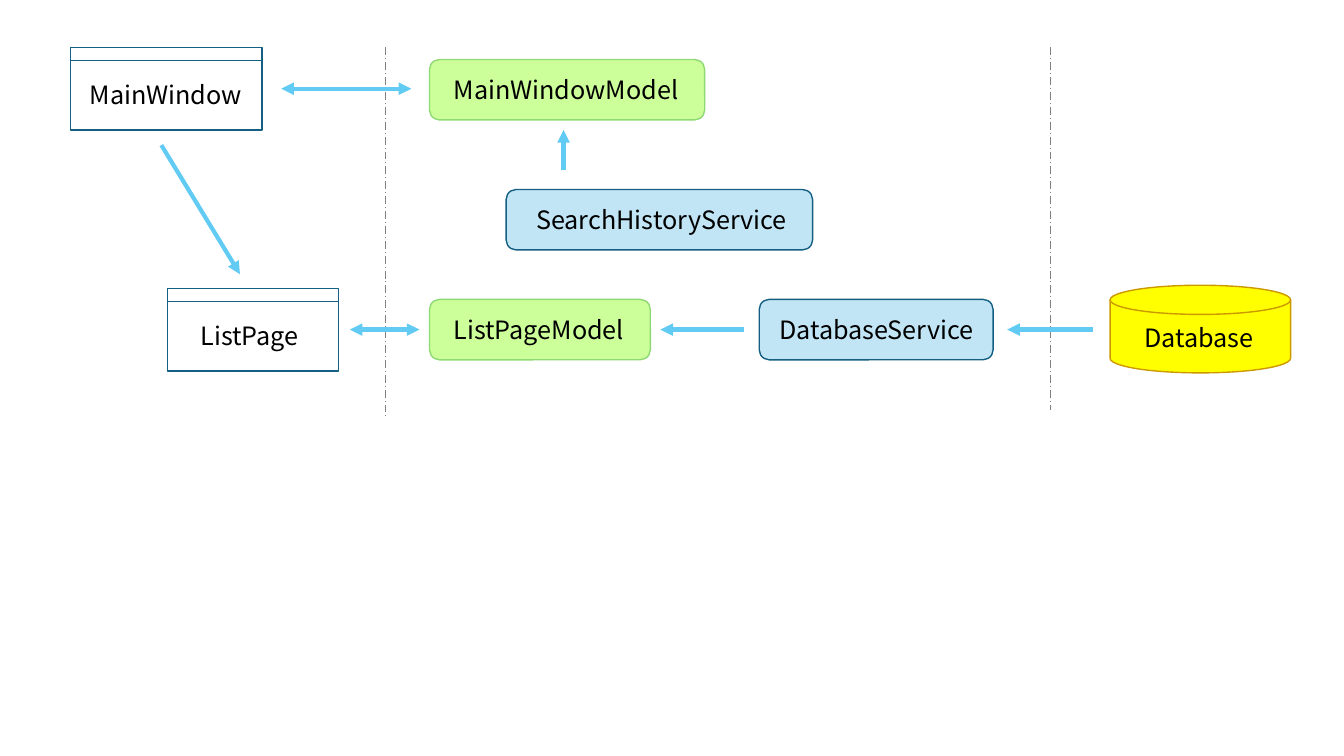
import pptx
import pptx.util
import pptx.dml.color
import pptx.enum.dml
import pptx.enum.shapes
import pptx.enum.text
import pptx.oxml
import pptx.oxml.ns

Inches = pptx.util.Inches
SHAPE = pptx.enum.shapes.MSO_SHAPE
FONT = "Noto Sans CJK JP"
COLORS = {
    "text": "000000", "window": "FFFFFF", "window_line": "156082",
    "model": "CCFF99", "model_line": "8ED973",
    "service": "C1E5F5", "service_line": "156082",
    "database": "FFFF00", "database_line": "CC9900",
    "arrow": "61CBF4", "divider": "808080",
}


def rgb(name):
    return pptx.dml.color.RGBColor.from_string(COLORS[name])


def add_block(shapes, kind, style, x, y, w, h):
    sp = shapes.add_shape(kind, Inches(x), Inches(y), Inches(w), Inches(h))
    sp.shadow.inherit = False
    sp.fill.solid()
    sp.fill.fore_color.rgb = rgb(style)
    sp.line.color.rgb = rgb(style + "_line")
    sp.line.width = pptx.util.Pt(1)
    return sp


def add_label(s, text, x, y, w):
    sp = s.shapes.add_textbox(Inches(x), Inches(y), Inches(w), Inches(0.4))
    tf = sp.text_frame
    frame = {"word_wrap": False,
             "auto_size": pptx.enum.text.MSO_AUTO_SIZE.SHAPE_TO_FIT_TEXT}
    for key, value in frame.items():
        setattr(tf, key, value)
    r = tf.paragraphs[0].add_run()
    r.text = text
    for key, value in {"name": FONT, "size": pptx.util.Pt(18)}.items():
        setattr(r.font, key, value)
    r.font.color.rgb = rgb("text")


def add_window(s, text, x, y, w, label_dx, label_w):
    group = s.shapes.add_group_shape()
    add_block(group.shapes, SHAPE.RECTANGLE, "window", x, y + 0.12, w, 0.7)
    add_block(group.shapes, SHAPE.RECTANGLE, "window", x, y, w, 0.13)
    add_label(s, text, x + label_dx, y + 0.27, label_w)


def add_component(s, text, style, x, y, w, label_dx, label_w):
    add_block(s.shapes, SHAPE.ROUNDED_RECTANGLE, style, x, y, w, 0.6)
    add_label(s, text, x + label_dx, y + 0.1, label_w)


def add_database(s, text, x, y, w, h):
    add_block(s.shapes, SHAPE.FLOWCHART_MAGNETIC_DISK, "database", x, y, w, h)
    add_label(s, text, x + 0.24, y + 0.32, 1.32)


def add_line(s, style, width, x1, y1, x2, y2):
    cx = s.shapes.add_connector(pptx.enum.shapes.MSO_CONNECTOR.STRAIGHT,
                                Inches(x1), Inches(y1), Inches(x2), Inches(y2))
    cx.line.color.rgb = rgb(style)
    cx.line.width = pptx.util.Pt(width)
    cx._element.spPr.append(pptx.oxml.parse_xml(
        "<a:effectLst %s/>" % pptx.oxml.ns.nsdecls("a")))
    return cx


def add_divider(s, x, top, bottom):
    cx = add_line(s, "divider", 0.7, x, top, x, bottom)
    cx.line.dash_style = pptx.enum.dml.MSO_LINE.LONG_DASH_DOT


def add_arrow(s, x1, y1, x2, y2, ends=("headEnd",)):
    cx = add_line(s, "arrow", 3, x1, y1, x2, y2)
    ln = cx.line._get_or_add_ln()
    for end in ends:
        ln.append(pptx.oxml.parse_xml('<a:%s %s type="triangle"/>' % (
            end, pptx.oxml.ns.nsdecls("a"))))


def build_architecture(s):
    add_divider(s, 3.82, 0.47, 4.16)
    add_divider(s, 10.42, 0.47, 4.07)

    add_window(s, "MainWindow", 0.7, 0.47, 1.9, 0.09, 1.72)
    add_window(s, "ListPage", 1.66, 2.86, 1.7, 0.23, 1.22)

    for component in (
        ("MainWindowModel", "model", 4.26, 0.59, 2.73, 0.14, 2.45),
        ("SearchHistoryService", "service", 5.02, 1.88, 3.04, 0.2, 2.69),
        ("ListPageModel", "model", 4.26, 2.97, 2.19, 0.14, 1.95),
        ("DatabaseService", "service", 7.53, 2.97, 2.32, 0.1, 2.16),
    ):
        add_component(s, *component)
    add_database(s, "Database", 11.01, 2.83, 1.79, 0.87)

    both = ("headEnd", "tailEnd")
    add_arrow(s, 2.79, 0.88, 4.08, 0.88, both)
    add_arrow(s, 3.47, 3.27, 4.16, 3.27, both)
    add_arrow(s, 6.55, 3.27, 7.38, 3.27)
    add_arrow(s, 9.99, 3.27, 10.84, 3.27)
    add_arrow(s, 5.59, 1.29, 5.59, 1.69)
    add_arrow(s, 2.38, 2.72, 1.6, 1.44)


def main():
    prs = pptx.Presentation()
    prs.slide_width = Inches(13.33)
    prs.slide_height = Inches(7.5)
    s = prs.slides.add_slide(prs.slide_layouts[6])
    build_architecture(s)
    prs.save("out.pptx")


if __name__ == "__main__":
    main()
